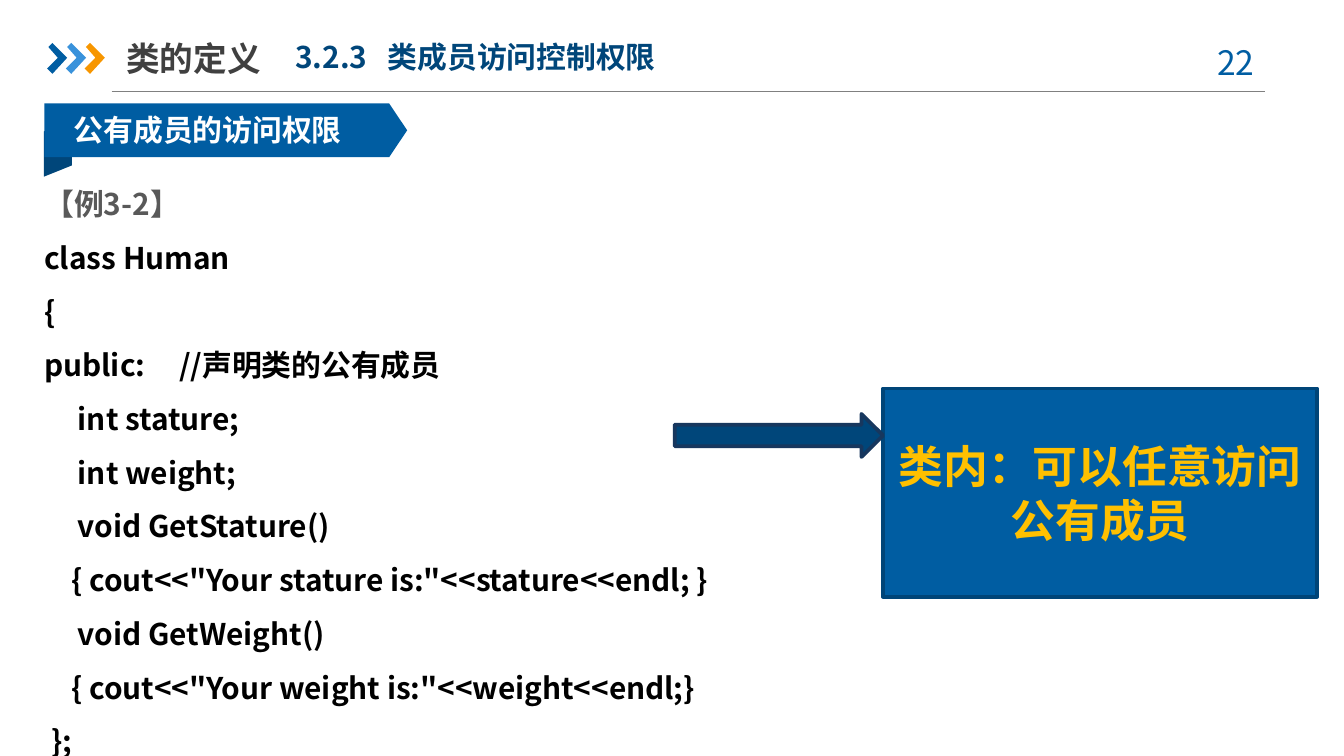
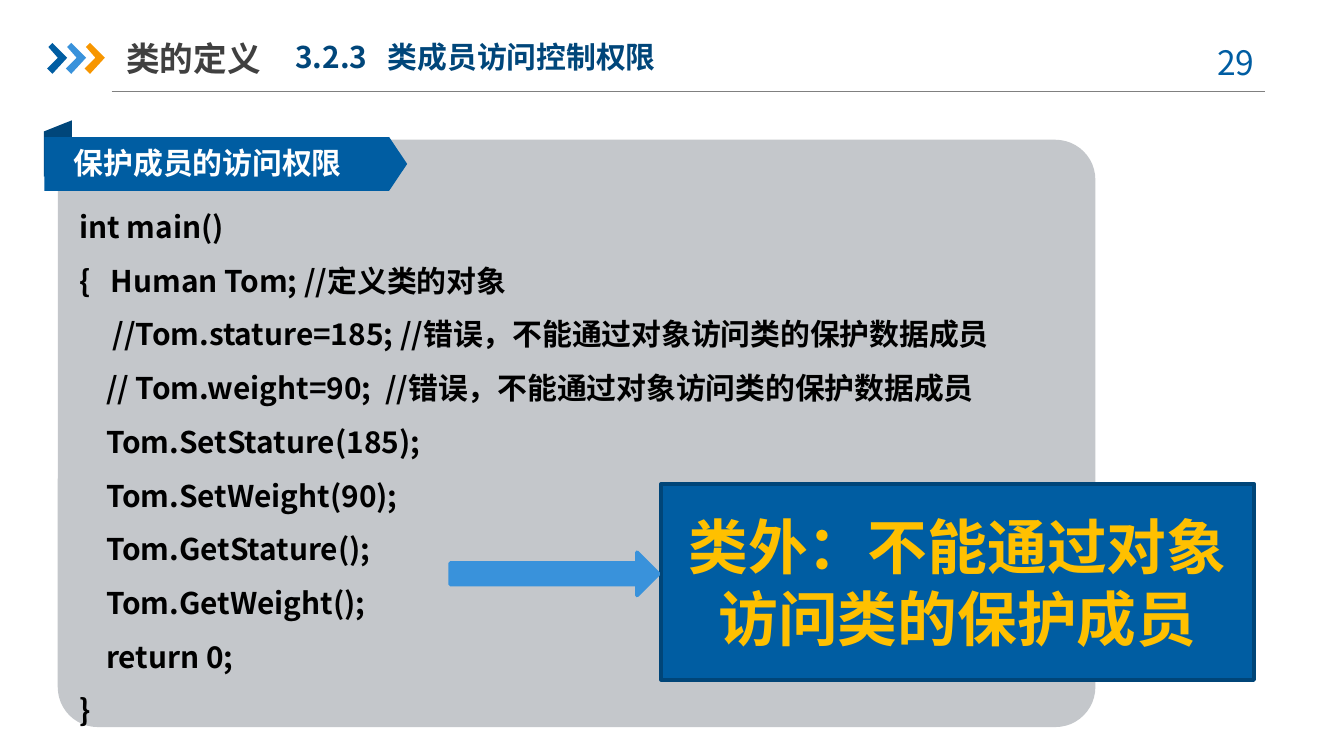
from lxml.etree import SubElement
from pptx import Presentation
from pptx.dml.color import RGBColor
from pptx.enum.shapes import MSO_CONNECTOR as Line, MSO_SHAPE as Preset
from pptx.enum.text import MSO_ANCHOR as Anchor, MSO_AUTO_SIZE as AutoSize, PP_ALIGN as Align
from pptx.oxml.ns import qn
from pptx.util import Inches, Pt

FONT = "Noto Sans CJK SC"
BLUE, NAVY, SKY, ORANGE = "005DA2", "00467A", "3992DB", "F79600"
EDGE, GOLD, PANEL, RULE = "004578", "FFC000", "C4C7CB", "808080"
BLACK, WHITE, DARK, GREY = "000000", "FFFFFF", "404040", "595959"

CHAPTER = "类的定义"
SECTION = "3.2.3   类成员访问控制权限"
INDENT = 0.05  # inches per indent step of the code

# Code lines are (indent steps, text).
SLIDES = [
    dict(
        page="22", tag="公有成员的访问权限", tag_top=0.77, panel=None,
        example="【例3-2】", code_box=(0.33, 1.25, 5.7, 4.44),
        code=[
            (0, "class Human"),
            (0, "{"),
            (0, "public:     //声明类的公有成员"),
            (5, "int stature;"),
            (5, "int weight;"),
            (5, "void GetStature()"),
            (4, '{ cout<<"Your stature is:"<<stature<<endl; }'),
            (5, "void GetWeight()"),
            (4, '{ cout<<"Your weight is:"<<weight<<endl;}'),
            (1, "};"),
        ],
        callout="类内：可以任意访问公有成员", callout_size=24,
        callout_box=(6.57, 2.89, 3.23, 1.55),
        arrow=(5.02, 3.08), arrow_fill=NAVY, arrow_edge="17375E",
    ),
    dict(
        page="29", tag="保护成员的访问权限", tag_top=1.02,
        panel=(0.43, 1.04, 7.72, 4.37),
        example=None, code_box=(0.59, 1.42, 7.2, 4.04),
        code=[
            (0, "int main()"),
            (0, "{   Human Tom; //定义类的对象"),
            (5, "//Tom.stature=185; //错误，不能通过对象访问类的保护数据成员"),
            (4, "// Tom.weight=90;  //错误，不能通过对象访问类的保护数据成员"),
            (4, "Tom.SetStature(185);"),
            (4, "Tom.SetWeight(90);"),
            (4, "Tom.GetStature();"),
            (4, "Tom.GetWeight();"),
            (4, "return 0;"),
            (0, "}"),
        ],
        callout="类外：不能通过对象访问类的保护成员", callout_size=32,
        callout_box=(4.92, 3.6, 4.41, 1.46),
        arrow=(3.35, 4.11), arrow_fill=SKY, arrow_edge=SKY,
    ),
]


def rgb(value):
    return RGBColor.from_string(value)


def place(shape, box):
    shape.left, shape.top, shape.width, shape.height = map(Inches, box)


def paint(shape, fill, edge=None):
    shape.shadow.inherit = False
    shape.fill.solid()
    shape.fill.fore_color.rgb = rgb(fill)
    if edge:
        shape.line.color.rgb = rgb(edge)
        shape.line.width = Pt(2)
    else:
        shape.line.fill.background()


def add_block(slide, preset, box, fill, edge=None):
    block = slide.shapes.add_shape(preset, *map(Inches, box))
    paint(block, fill, edge)
    return block


def write_line(paragraph, text, size=16, color=BLACK, bold=True, align=Align.LEFT,
               spacing=1.0, indent=0):
    paragraph.alignment = align
    paragraph.line_spacing = spacing
    paragraph.space_before = Pt(0)
    run = paragraph.add_run()
    run.text = text
    font = run.font
    font.name, font.size, font.bold = FONT, Pt(size), bold
    font.color.rgb = rgb(color)
    SubElement(run._r.get_or_add_rPr(), qn("a:ea"), typeface=FONT)
    props = paragraph._p.get_or_add_pPr()
    props.set("marL", str(Inches(indent)))
    props.set("indent", "0")
    SubElement(props, qn("a:buNone"))


def set_frame(shape, anchor=Anchor.TOP, insets=(0.1, 0.05)):
    frame = shape.text_frame
    frame.word_wrap = True
    frame.auto_size = AutoSize.NONE
    frame.vertical_anchor = anchor
    frame.margin_left = frame.margin_right = Inches(insets[0])
    frame.margin_top = frame.margin_bottom = Inches(insets[1])
    return frame


def write(shape, text, anchor=Anchor.TOP, insets=(0.1, 0.05), **style):
    frame = set_frame(shape, anchor, insets)
    write_line(frame.paragraphs[0], text, **style)


def add_label(slide, box, text, **style):
    write(slide.shapes.add_textbox(*map(Inches, box)), text, **style)


def add_header(slide, page):
    rule = slide.shapes.add_connector(
        Line.STRAIGHT, *map(Inches, (0.83, 0.68, 9.41, 0.68)))
    rule.line.color.rgb = rgb(RULE)
    rule.line.width = Pt(0.75)
    SubElement(rule.element.spPr, qn("a:effectLst"))

    outline = [(0.01, 0.03), (0.04, 0), (0.15, 0.11), (0.04, 0.23), (0, 0.19), (0.08, 0.11)]
    for column, color in enumerate((BLUE, SKY, ORANGE)):
        points = [(Inches(0.35 + 0.14 * column + x), Inches(0.32 + y)) for x, y in outline]
        chevron = slide.shapes.build_freeform(*points[0])
        chevron.add_line_segments(points[1:], close=True)
        paint(chevron.convert_to_shape(), color)

    add_label(slide, (8.83, 0.26, 0.73, 0.4), page, size=18, color=BLUE,
              bold=False, align=Align.CENTER)
    title = slide.shapes.title
    place(title, (0.94, 0.22, 2.33, 0.42))
    write(title, CHAPTER, anchor=Anchor.MIDDLE, insets=(0, 0.05), size=18, color=DARK)
    add_label(slide, (2.1, 0.24, 3.23, 0.37), SECTION, color=NAVY)


def add_tag(slide, text, top, panel):
    """Draw the ribbon with its fold, and the panel that lies between them."""
    fold = add_block(slide, Preset.FLOWCHART_DATA, (0.22, 1, 0.42, 0.21), NAVY)
    fold.rotation = 270
    fold.element.spPr.xfrm.set("flipH", "1")
    if panel:
        add_block(slide, Preset.ROUNDED_RECTANGLE, panel, PANEL).adjustments[0] = 0.068
    ribbon = add_block(slide, Preset.PENTAGON, (0.33, top, 2.7, 0.4), BLUE)
    ribbon.adjustments[0] = 0.335
    add_label(slide, (0.55, top + 0.06, 2.06, 0.27), text, insets=(0, 0), color=WHITE)


def add_code(slide, box, example, code):
    body = slide.placeholders[1]
    slide.shapes.element.append(body.element)  # in front of the panel
    place(body, box)
    frame = set_frame(body, insets=(0, 0))
    lines = [(0, example, GREY)] if example else []
    lines += [(steps, text, BLACK) for steps, text in code]
    for number, (steps, text, color) in enumerate(lines):
        paragraph = frame.add_paragraph() if number else frame.paragraphs[0]
        write_line(paragraph, text, color=color, align=Align.JUSTIFY, spacing=1.5,
                   indent=steps * INDENT)


def add_callout(slide, part):
    callout = add_block(slide, Preset.RECTANGLE, part["callout_box"], BLUE, EDGE)
    write(callout, part["callout"], anchor=Anchor.MIDDLE, size=part["callout_size"],
          color=GOLD, align=Align.CENTER)
    add_block(slide, Preset.RIGHT_ARROW, (*part["arrow"], 1.55, 0.32),
              part["arrow_fill"], part["arrow_edge"])


def main():
    deck = Presentation()
    deck.slide_width = Inches(10)
    deck.slide_height = deck.slide_width * 9 // 16
    for part in SLIDES:
        slide = deck.slides.add_slide(deck.slide_layouts[1])
        add_header(slide, part["page"])
        add_tag(slide, part["tag"], part["tag_top"], part["panel"])
        add_code(slide, part["code_box"], part["example"], part["code"])
        add_callout(slide, part)
    deck.save("out.pptx")


if __name__ == "__main__":
    main()
